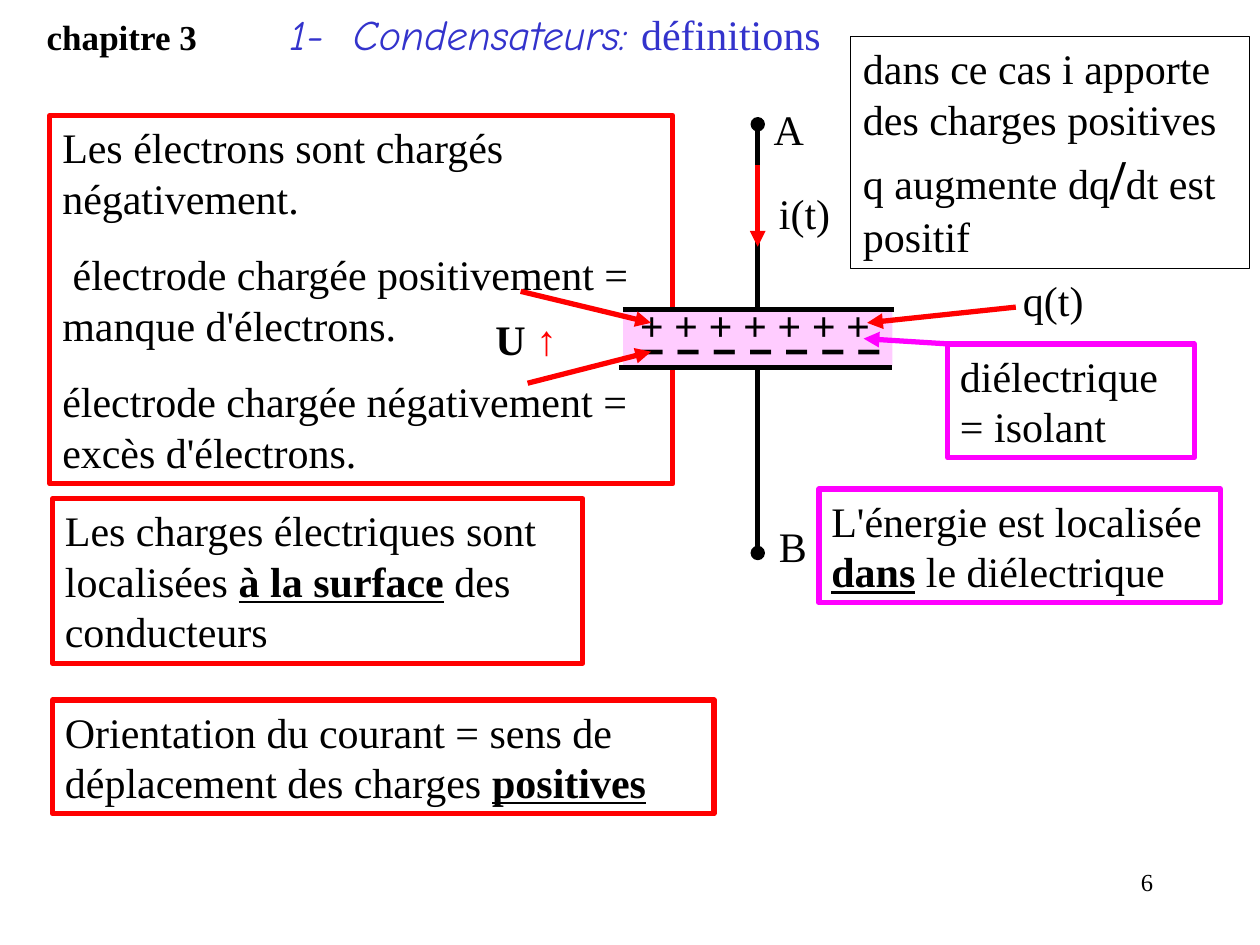
from lxml.etree import SubElement
from pptx import Presentation
from pptx.dml.color import RGBColor
from pptx.enum.shapes import MSO_CONNECTOR as CONN, MSO_SHAPE as SHAPE
from pptx.enum.text import MSO_ANCHOR as ANCHOR, PP_ALIGN as ALIGN
from pptx.oxml.ns import qn
from pptx.util import Pt

BLACK = RGBColor(0x00, 0x00, 0x00)
RED = RGBColor(0xFF, 0x00, 0x00)
MAGENTA = RGBColor(0xFF, 0x00, 0xFF)
PINK = RGBColor(0xFF, 0xCC, 0xFF)
BLUE = RGBColor(0x33, 0x33, 0xCC)
SERIF = "Times New Roman"
KEY = {"bold": True, "underline": True}
WIRE_X = 433


def add_run(p, text, size=24, name=SERIF, color=BLACK, **style):
    r = p.add_run()
    r.text = text
    r.font.size = Pt(size)
    r.font.name = name
    r.font.color.rgb = color
    for key, value in style.items():
        setattr(r.font, key, value)


def write(s, paragraphs, align=ALIGN.LEFT, before=15, spacing=None):
    tf = s.text_frame
    tf.word_wrap = True
    tf.vertical_anchor = ANCHOR.TOP
    for i, runs in enumerate(paragraphs):
        p = tf.add_paragraph() if i else tf.paragraphs[0]
        p.alignment = align
        p.space_before = Pt(before if i else 0)
        if spacing:
            p.line_spacing = spacing
        for text, style in runs:
            add_run(p, text, **style)


def add_label(sp, x, y, w, paragraphs, **layout):
    s = sp.add_textbox(Pt(x), Pt(y), Pt(w), Pt(36))
    write(s, paragraphs, **layout)


def add_preset(sp, kind, x, y, w, h, fill=None, line=None, width=3):
    s = sp.add_shape(kind, Pt(x), Pt(y), Pt(w), Pt(h))
    s.shadow.inherit = False
    if fill is None:
        s.fill.background()
    else:
        s.fill.solid()
        s.fill.fore_color.rgb = fill
    if line is None:
        s.line.fill.background()
    else:
        s.line.color.rgb = line
        s.line.width = Pt(width)
    return s


def add_box(sp, x, y, w, h, color, paragraphs, width=3):
    s = add_preset(sp, SHAPE.RECTANGLE, x, y, w, h, line=color, width=width)
    write(s, paragraphs)


def add_line(sp, x1, y1, x2, y2, color=BLACK, arrow=False):
    s = sp.add_connector(CONN.STRAIGHT, Pt(x1), Pt(y1), Pt(x2), Pt(y2))
    s.line.color.rgb = color
    s.line.width = Pt(3)
    if arrow:
        SubElement(s.line._get_or_add_ln(), qn("a:tailEnd")).set("type", "triangle")
    SubElement(s._element.spPr, qn("a:effectLst"))
    return s


def add_title(s):
    s.left, s.top, s.width, s.height = Pt(19.5), Pt(1.5), Pt(664.5), Pt(36)
    write(s, [[("chapitre 3", {"size": 20, "bold": True}),
               ("\t1-\tCondensateurs: ", {"name": "Comic Neue", "color": BLUE, "italic": True}),
               ("définitions", {"color": BLUE})]])
    tabs = SubElement(s.text_frame.paragraphs[0]._p.get_or_add_pPr(), qn("a:tabLst"))
    for pos in (139, 175):
        tab = SubElement(tabs, qn("a:tab"))
        tab.set("pos", str(int(Pt(pos))))
        tab.set("algn", "l")


def add_capacitor(sp):
    dielectric = add_preset(sp, SHAPE.RECTANGLE, 356, 177, 154, 32, fill=PINK)
    add_line(sp, 356, 177, 511, 177)
    add_line(sp, 354, 210, 510, 210)
    for end, side, edge in ((70.5, 0, 177), (315.5, 2, 209)):
        wire = add_line(sp, WIRE_X, end, WIRE_X, edge)
        wire.end_connect(dielectric, side)
        add_preset(sp, SHAPE.OVAL, WIRE_X - 3.75, end - 3.25, 7.5, 7.5, BLACK, BLACK, 0.75)
    add_label(sp, 358.5, 180, 162,
              [[("+ + + + + + +", {"bold": True})],
               [("− − − − − − −", {"name": "Arial", "bold": True})]],
              before=0, spacing=0.5)
    add_line(sp, WIRE_X, 94.5, WIRE_X, 141, RED, True)
    for x, y, w, text in ((435, 55.5, 39, "A"), (438, 294, 47, "B"),
                          (438, 103.5, 70.5, "i(t)"), (577.5, 153.5, 58.5, "q(t)")):
        add_label(sp, x, y, w, [[(text, {})]])
    add_label(sp, 276, 175.5, 65,
              [[("U ", {"bold": True}),
                ("↑", {"name": "Arial", "color": RED, "bold": True})]])


def main():
    prs = Presentation()
    prs.slide_width, prs.slide_height = Pt(720), Pt(540)
    slide = prs.slides.add_slide(prs.slide_layouts[5])
    sp = slide.shapes
    add_title(sp.title)

    add_box(sp, 28.5, 66, 356, 210.5, RED,
            [[("Les électrons sont chargés négativement.", {})],
             [(" électrode chargée positivement = manque d'électrons.", {})],
             [("électrode chargée négativement = excès d'électrons.", {})]])
    add_capacitor(sp)
    add_box(sp, 30, 285, 303, 94, RED,
            [[("Les charges électriques sont localisées ", {}),
              ("à la surface", KEY), (" des conducteurs", {})]])
    add_box(sp, 30, 400, 378, 65, RED,
            [[("Orientation du courant = sens de déplacement des charges ", {}),
              ("positives", KEY)]])
    add_box(sp, 486, 21, 228, 132.5, BLACK,
            [[("dans ce cas i apporte des charges positives q augmente dq", {}),
              ("/", {"size": 32, "bold": True}), ("dt est positif", {})]], 0.75)
    add_box(sp, 541.5, 196.5, 141, 65, MAGENTA, [[("diélectrique = isolant", {})]])
    add_box(sp, 468, 279.5, 229.5, 65, MAGENTA,
            [[("L'énergie est localisée ", {}), ("dans", KEY), (" le diélectrique", {})]])

    for x1, y1, x2, y2, color in ((301.5, 219, 372, 201, RED),
                                  (297.5, 166.5, 372, 184.5, RED),
                                  (580.5, 175.5, 495.5, 184.5, RED),
                                  (541.5, 196.5, 493.5, 193.5, MAGENTA)):
        add_line(sp, x1, y1, x2, y2, color, True)
    add_label(sp, 516, 492, 150, [[("6", {"size": 14})]], align=ALIGN.RIGHT)
    prs.save("out.pptx")


if __name__ == "__main__":
    main()
